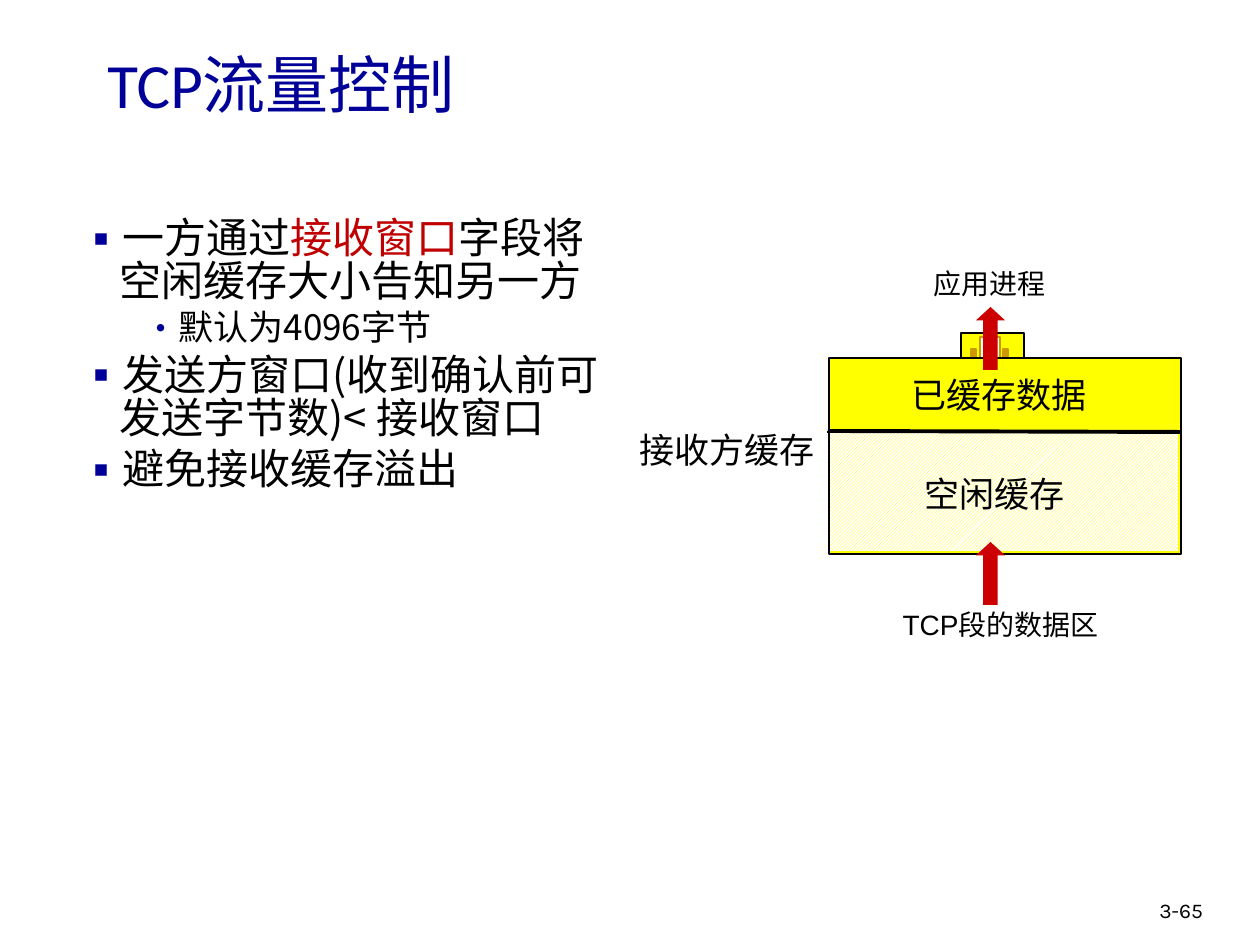
from collections import namedtuple
from dataclasses import dataclass

from lxml.etree import SubElement
from pptx import Presentation
from pptx.dml.color import RGBColor as Rgb
from pptx.enum.dml import MSO_PATTERN as Pattern
from pptx.enum.shapes import MSO_CONNECTOR as Connector, MSO_SHAPE as Shape
from pptx.enum.text import MSO_ANCHOR as Anchor, PP_ALIGN as Align
from pptx.oxml.ns import qn
from pptx.util import Emu, Pt

Box = namedtuple("Box", "left top width height")


@dataclass(frozen=True)
class Theme:
    """Colours, fonts and type sizes of the slide."""
    navy: Rgb = Rgb(0x00, 0x00, 0x99)
    black: Rgb = Rgb(0x00, 0x00, 0x00)
    white: Rgb = Rgb(0xFF, 0xFF, 0xFF)
    yellow: Rgb = Rgb(0xFF, 0xFF, 0x00)
    ochre: Rgb = Rgb(0xCC, 0x99, 0x00)
    red: Rgb = Rgb(0xCC, 0x00, 0x00)
    accent: Rgb = Rgb(0xC0, 0x00, 0x00)
    chinese: str = "Noto Sans CJK SC"
    heading: str = "Calibri"
    label: str = "Arial"
    plain: str = "Karla"
    title: int = 36
    bullet: int = 24
    sub_bullet: int = 20
    note: int = 16
    number: int = 12


THEME = Theme()


def px(count):
    """Turn pixels at 126 to the inch into EMU."""
    return Emu(round(count * 914400 / 126))


def inside(box, left, top, width, height):
    """Return a box placed relative to the corner of another."""
    return Box(box.left + left, box.top + top, width, height)


def style(span, size, color=THEME.black, font=THEME.chinese):
    """Format a run, keeping one font for its Chinese characters."""
    span.font.size = Pt(size)
    span.font.color.rgb = color
    span.font.name = font
    SubElement(span.font._element, qn("a:ea"), typeface=THEME.chinese)


def add_text(page, box, spans, wrap=True, align=Align.LEFT, anchor=Anchor.TOP):
    """Add one paragraph of (text, *style) spans and return its frame."""
    frame = page.shapes.add_textbox(*map(px, box)).text_frame
    frame.word_wrap = wrap
    frame.vertical_anchor = anchor
    para = frame.paragraphs[0]
    para.alignment = align
    add_spans(para, spans)
    return frame


def add_spans(para, spans):
    """Append styled runs to a paragraph."""
    for text, *look in spans:
        span = para.add_run()
        span.text = text
        style(span, *look)


def add_block(page, box, fill=None, line=None, kind=Shape.RECTANGLE):
    """Add a flat shape with an optional fill and thin outline."""
    block = page.shapes.add_shape(kind, *map(px, box))
    block.shadow.inherit = False
    if fill is not None:
        block.fill.solid()
        block.fill.fore_color.rgb = fill
    if line is None:
        block.line.fill.background()
    else:
        block.line.color.rgb = line
        block.line.width = Pt(0.75)
    return block


def add_line(page, box, width):
    """Draw a black line across a box from its top left corner."""
    line = page.shapes.add_connector(
        Connector.STRAIGHT, px(box.left), px(box.top),
        px(box.left + box.width), px(box.top + box.height))
    line.line.color.rgb = THEME.black
    line.line.width = Pt(width)
    SubElement(line._element.spPr, qn("a:effectLst"))


def add_arrow(page, box):
    """Add a red arrow that points up."""
    arrow = add_block(page, box, THEME.red, kind=Shape.UP_ARROW)
    arrow.adjustments[0] = 0.5
    arrow.adjustments[1] = 0.46


def set_bullet(para, mark, margin, hang):
    """Give a paragraph a navy bullet with a hanging indent."""
    props = para._p.get_or_add_pPr()
    props.set("marL", str(px(margin)))
    props.set("indent", str(-px(hang)))
    color = SubElement(props, qn("a:buClr"))
    SubElement(color, qn("a:srgbClr"), val=str(THEME.navy))
    SubElement(props, qn("a:buFont"), typeface=THEME.chinese)
    SubElement(props, qn("a:buChar"), char=mark)


def add_title(page, box):
    """Write the slide title."""
    spans = [("TCP", THEME.title, THEME.navy, THEME.heading),
             ("流量控制", THEME.title, THEME.navy)]
    add_text(page, box, spans, anchor=Anchor.MIDDLE)


def add_bullets(page, box):
    """Write the two-level bullet list."""
    main, sub = THEME.bullet, THEME.sub_bullet
    items = [
        (0, [("一方通过", main), ("接收窗口", main, THEME.accent),
             ("字段将空闲缓存大小告知另一方", main)]),
        (1, [("默认为4096字节", sub)]),
        (0, [("发送方窗口(收到确认前可发送字节数)< 接收窗口", main)]),
        (0, [("避免接收缓存溢出", main)]),
    ]
    frame = add_text(page, box, [])
    for index, (level, spans) in enumerate(items):
        para = frame.add_paragraph() if index else frame.paragraphs[0]
        para.level = level
        para.line_spacing = 0.85
        if index:
            para.space_before = Pt(spans[0][1] * 0.2)
        set_bullet(para, *(("•", 95, 32) if level else ("▪", 39, 39)))
        add_spans(para, spans)


def add_process(page, box):
    """Draw the process socket on top of the buffer."""
    add_block(page, box, THEME.yellow, THEME.black)
    add_block(page, inside(box, 19, 4, 20, 21), THEME.white, THEME.ochre)
    for left in (10, 42):
        add_block(page, inside(box, left, 16, 5, 8), THEME.ochre, THEME.ochre)


def add_buffer(page, box):
    """Draw the receive buffer with its data flow and labels."""
    add_process(page, inside(box, 335, 74, 63, 29))
    add_block(page, inside(box, 203, 99, 352, 196), THEME.yellow, THEME.black)
    add_line(page, inside(box, 201, 173, 354, 0), 0.75)
    add_arrow(page, inside(box, 350, 48, 29, 63))
    free = add_block(page, inside(box, 204, 171, 348, 121))
    free.fill.patterned()
    free.fill.pattern = Pattern.DARK_UPWARD_DIAGONAL
    free.fill.fore_color.rgb = THEME.yellow
    free.fill.back_color.rgb = THEME.white
    add_arrow(page, inside(box, 350, 283, 29, 63))
    add_line(page, inside(box, 202, 172, 354, 1), 2.25)
    labels = [
        ("已缓存数据", (272, 108, 202, 55), THEME.sub_bullet, THEME.plain, False),
        ("空闲缓存", (286, 207, 166, 55), THEME.sub_bullet, THEME.plain, False),
        ("接收方缓存", (0, 163, 202, 55), THEME.sub_bullet, THEME.chinese, False),
        ("应用进程", (294, 1, 139, 47), THEME.note, THEME.chinese, False),
        ("TCP段的数据区", (264, 342, 221, 47), THEME.note, THEME.label, True),
    ]
    for text, place, size, font, wrap in labels:
        add_text(page, inside(box, *place), [(text, size, THEME.black, font)],
                 wrap, Align.CENTER)


def add_number(page, box):
    """Write the slide number."""
    add_text(page, box, [("3-65", THEME.number, THEME.black, THEME.plain)])


def main():
    """Build and save the slide."""
    deck = Presentation()
    deck.slide_width, deck.slide_height = px(1260), px(945)
    page = deck.slides.add_slide(deck.slide_layouts[6])
    add_number(page, Box(1147, 891, 93, 38))
    add_buffer(page, Box(626, 259, 556, 390))
    add_bullets(page, Box(68, 213, 558, 677))
    add_title(page, Box(95, 16, 1071, 135))
    deck.save("out.pptx")


if __name__ == "__main__":
    main()
